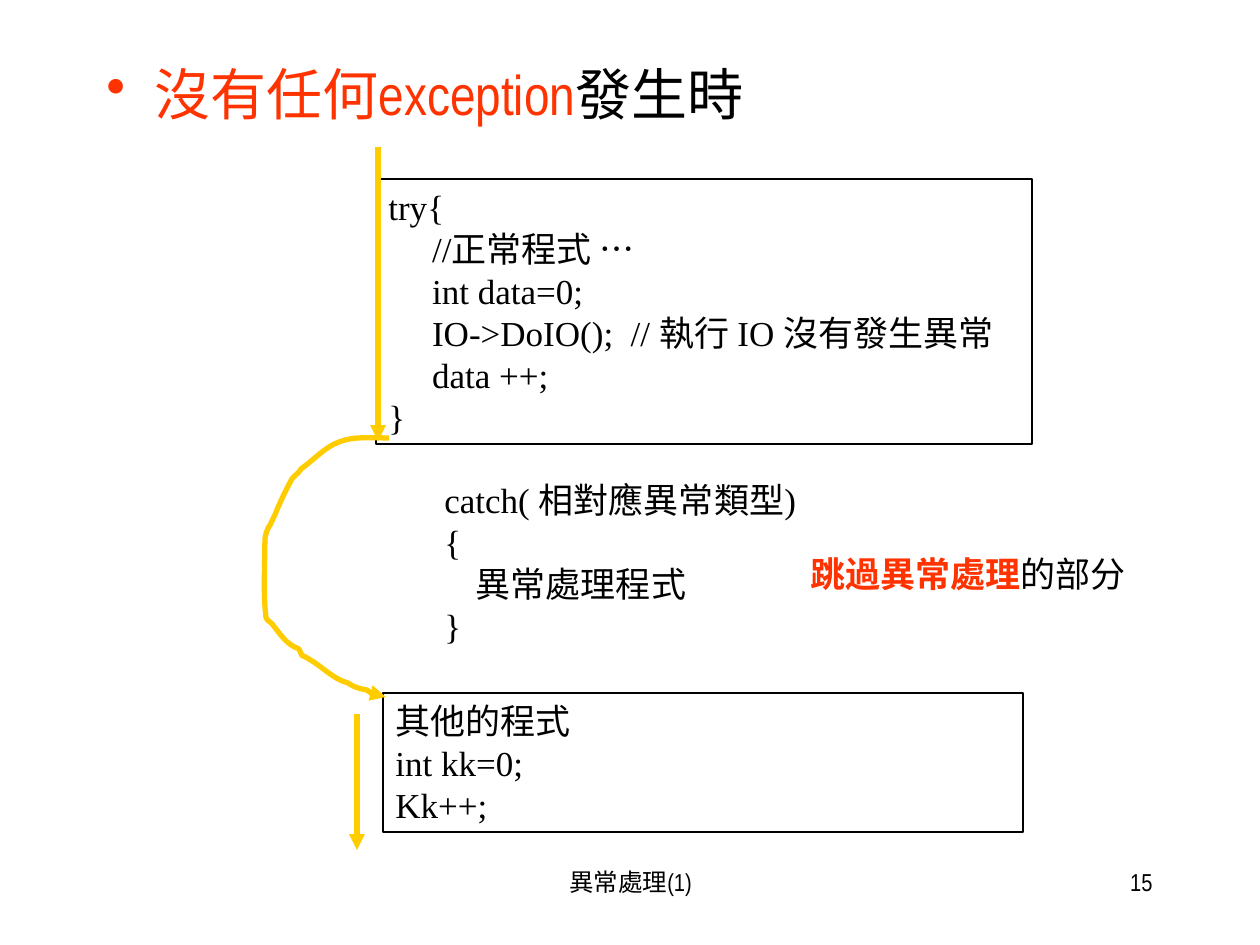
from lxml import etree
from pptx import Presentation
from pptx.dml.color import RGBColor
from pptx.enum.shapes import MSO_CONNECTOR, MSO_SHAPE
from pptx.enum.text import MSO_ANCHOR, PP_ALIGN
from pptx.oxml.ns import qn
from pptx.util import Emu, Pt

PX = 914400 / 126
STRAIGHT, RECT = MSO_CONNECTOR.STRAIGHT, MSO_SHAPE.RECTANGLE
LEFT, CENTER, RIGHT = PP_ALIGN.LEFT, PP_ALIGN.CENTER, PP_ALIGN.RIGHT
TOP = MSO_ANCHOR.TOP
BLACK, RED, YELLOW = "000000", "FF3300", "FFCC00"
NARROW, SERIF = "Arial Narrow", "Times New Roman"


def px(*lengths):
    return [Emu(round(length * PX)) for length in lengths]


def style_flow(line):
    """Give a control-flow line its yellow stroke and arrowhead."""
    line.line.color.rgb = RGBColor.from_string(YELLOW)
    line.line.width = Pt(3)
    etree.SubElement(line.line._get_or_add_ln(), qn("a:tailEnd"), type="triangle")
    properties = line._element.spPr
    if properties.find(qn("a:effectLst")) is None:
        etree.SubElement(properties, qn("a:effectLst"))


prs = Presentation()
prs.slide_width, prs.slide_height = px(1260, 945)
slide = prs.slides.add_slide(prs.slide_layouts[6])
shapes = slide.shapes

# Each line of text is a list of (wording, colour, bold) runs.
heading = [[("沒有任何exception", RED, False), ("發生時", BLACK, False)]]
skipped_note = [[("跳過異常處理", RED, True), ("的部分", BLACK, False)]]
try_code = """try{
     //正常程式 …
     int data=0;
     IO->DoIO();  // 執行 IO 沒有發生異常
     data ++;
}"""
catch_code = """catch( 相對應異常類型)
{
    異常處理程式
}"""
other_code = """其他的程式
int kk=0;
Kk++;"""

# box, lines, font, size, alignment, outlined
blocks = [
    ((94, 53, 1071, 567), heading, NARROW, 32, LEFT, False),
    ((376, 179, 656, 265), try_code, SERIF, 20, LEFT, True),
    ((432, 472, 393, 181), catch_code, SERIF, 20, LEFT, False),
    ((383, 693, 640, 139), other_code, SERIF, 20, LEFT, True),
    ((798, 546, 340, 55), skipped_note, SERIF, 20, LEFT, False),
    ((431, 861, 399, 63), "異常處理(1)", NARROW, 14, CENTER, False),
    ((903, 861, 262, 63), "15", NARROW, 14, RIGHT, False),
]
for box, content, font_name, size, alignment, outlined in blocks:
    if outlined:
        block = shapes.add_shape(RECT, *px(*box))
        block.shadow.inherit = False
        block.fill.background()
        block.line.color.rgb = RGBColor.from_string(BLACK)
        block.line.width = Pt(0.75)
    else:
        block = shapes.add_textbox(*px(*box))
    frame = block.text_frame
    frame.word_wrap = True
    frame.vertical_anchor = TOP
    if alignment == LEFT:
        frame.margin_right = 0
    if isinstance(content, str):
        content = [[(text, BLACK, False)] for text in content.split("\n")]
    for number, runs in enumerate(content):
        paragraph = frame.add_paragraph() if number else frame.paragraphs[0]
        paragraph.alignment = alignment
        if content is heading:
            indent, = px(48)
            bullet = paragraph._p.get_or_add_pPr()
            bullet.set("marL", str(indent))
            bullet.set("indent", str(-indent))
            color = etree.SubElement(bullet, qn("a:buClr"))
            etree.SubElement(color, qn("a:srgbClr"), val=RED)
            etree.SubElement(bullet, qn("a:buChar"), char="•")
        for text, color, bold in runs:
            run = paragraph.add_run()
            run.text = text
            values = {"name": font_name, "size": Pt(size), "bold": bold}
            for key, value in values.items():
                setattr(run.font, key, value)
            run.font.color.rgb = RGBColor.from_string(color)

for x, top, bottom in [(378, 147, 441), (357, 714, 850)]:
    arrow = shapes.add_connector(STRAIGHT, *px(x, top, x, bottom))
    style_flow(arrow)

# The jump past the catch block: Bézier pieces, two controls and an end each.
jump_start = (389, 438)
jump_curves = [
    ((372, 438), (354, 436), (339, 442)),
    ((325, 447), (314, 460), (301, 469)),
    ((299, 473), (295, 475), (292, 479)),
    ((286, 490), (280, 502), (275, 515)),
    ((273, 518), (273, 520), (271, 523)),
    ((271, 525), (268, 527), (268, 529)),
    ((266, 532), (265, 539), (265, 539)),
    ((265, 566), (263, 592), (266, 617)),
    ((267, 621), (271, 622), (273, 625)),
    ((281, 635), (286, 644), (299, 649)),
    ((304, 659), (299, 653), (309, 659)),
    ((323, 667), (333, 679), (348, 683)),
    ((354, 687), (360, 689), (367, 690)),
    ((375, 696), (369, 693), (379, 696)),
    ((382, 696), (386, 697), (386, 697)),
]
STEPS = 8
jump_points = []
start = jump_start
for first, second, end in jump_curves:
    for step in range(1, STEPS + 1):
        t = step / STEPS
        u = 1 - t
        jump_points.append(px(*(
            u**3 * a + 3 * u * u * t * b + 3 * u * t * t * c + t**3 * d
            for a, b, c, d in zip(start, first, second, end))))
    start = end
builder = shapes.build_freeform(*px(*jump_start))
builder.add_line_segments(jump_points, close=False)
jump = builder.convert_to_shape()
jump.fill.background()
style_flow(jump)

prs.save("out.pptx")
